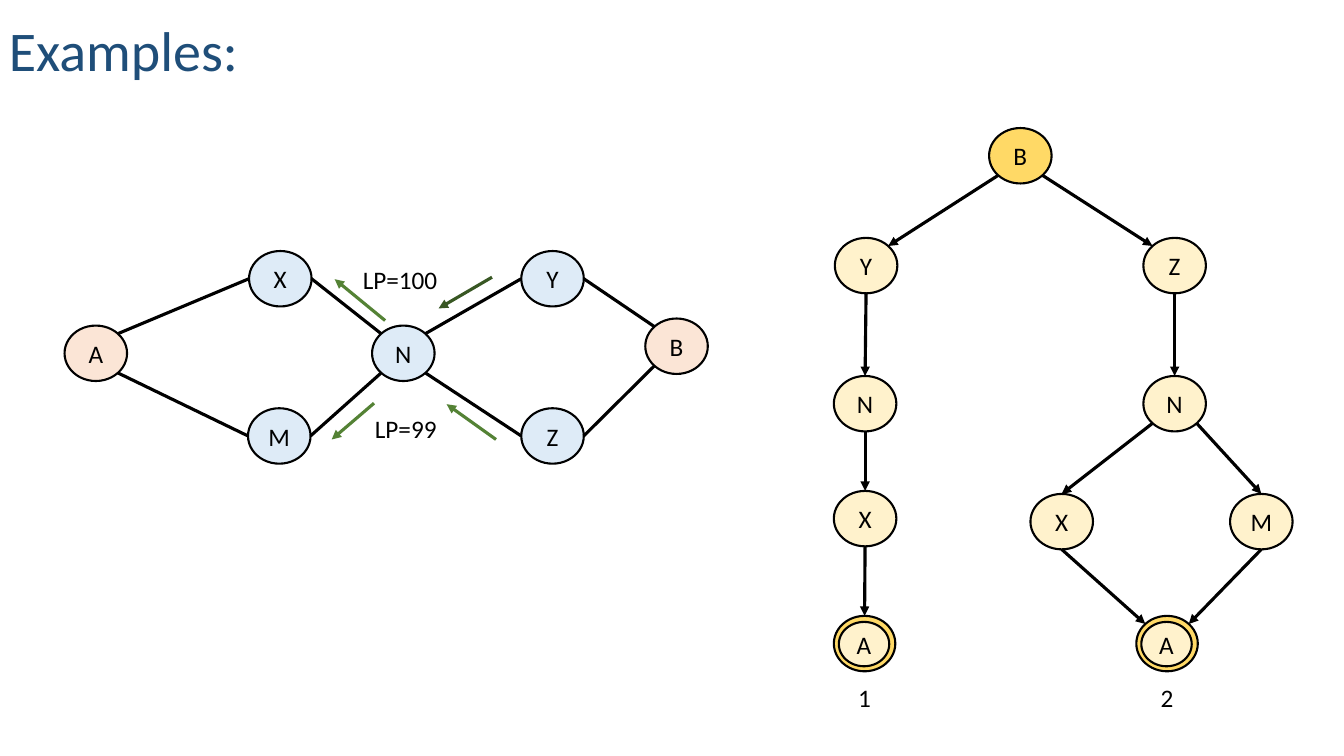
import lxml.etree
import pptx
import pptx.enum.shapes
import pptx.enum.text
import pptx.dml.color
import pptx.oxml.ns
import pptx.util

COLOURS = {
    "title": "1F4E79", "ink": "000000", "endpoint": "FBE5D6", "router": "DEEBF7",
    "gold": "FFD966", "cream": "FFF2CC", "forest": "385723", "green": "548235",
}
PX = 9144
NODE_W, NODE_H = 62, 55
DIAGONAL = 0.354
SITES = {
    "top": (0, 0, -0.5), "top left": (1, -DIAGONAL, -DIAGONAL), "left": (2, -0.5, 0),
    "bottom left": (3, -DIAGONAL, DIAGONAL), "bottom": (4, 0, 0.5),
    "bottom right": (5, DIAGONAL, DIAGONAL), "right": (6, 0.5, 0),
    "top right": (7, DIAGONAL, -DIAGONAL),
}
ALIGN = pptx.enum.text.PP_ALIGN
ANCHOR = pptx.enum.text.MSO_ANCHOR


class GraphSlide:
    """Draws nodes, edges and labels on one slide in a shared style."""

    def __init__(self, deck):
        self.font = "Calibri"
        self.slide = deck.slides.add_slide(deck.slide_layouts[6])

    def colour(self, name):
        return pptx.dml.color.RGBColor.from_string(COLOURS[name])

    def add_words(self, frame, words, size=18, ink="ink", align=ALIGN.CENTER, spacing=1.0):
        paragraph = frame.paragraphs[0]
        paragraph.alignment = align
        paragraph.line_spacing = spacing
        run = paragraph.add_run()
        run.text = words
        run.font.name = self.font
        run.font.size = pptx.util.Pt(size)
        run.font.color.rgb = self.colour(ink)

    def label(self, words, x, y, w, h, anchor=ANCHOR.TOP, **style):
        box = self.slide.shapes.add_textbox(x * PX, y * PX, w * PX, h * PX)
        box.text_frame.word_wrap = True
        box.text_frame.vertical_anchor = anchor
        self.add_words(box.text_frame, words, **style)

    def node(self, words, x, y, fill, w=NODE_W, h=NODE_H):
        oval = self.slide.shapes.add_shape(
            pptx.enum.shapes.MSO_SHAPE.OVAL, x * PX, y * PX, w * PX, h * PX)
        oval.shadow.inherit = False
        oval.fill.solid()
        oval.fill.fore_color.rgb = self.colour(fill)
        oval.line.color.rgb = self.colour("ink")
        oval.line.width = pptx.util.Pt(1.5)
        if words:
            frame = oval.text_frame
            frame.margin_left = frame.margin_right = 0
            frame.margin_top = frame.margin_bottom = 0
            frame.word_wrap = False
            frame.vertical_anchor = ANCHOR.MIDDLE
            self.add_words(frame, words)
        return oval

    def target(self, words, x, y):
        ring = self.node("", x, y, "gold", w=61)
        self.node(words, x + 5, y + 6, "cream", w=50, h=44)
        return ring

    def line(self, start, end, ink="ink", arrow=True):
        link = self.slide.shapes.add_connector(
            pptx.enum.shapes.MSO_CONNECTOR.STRAIGHT, *start, *end)
        link.line.color.rgb = self.colour(ink)
        link.line.width = pptx.util.Pt(2.25)
        qn = pptx.oxml.ns.qn
        properties = link._element.spPr
        if arrow:
            lxml.etree.SubElement(properties.find(qn("a:ln")), qn("a:tailEnd"), type="triangle")
        lxml.etree.SubElement(properties, qn("a:effectLst"))
        return link

    def site(self, node, side):
        _, across, down = SITES[side]
        return (round(node.left + node.width * (0.5 + across)),
                round(node.top + node.height * (0.5 + down)))

    def edge(self, source, source_side, goal, goal_side, arrow=True):
        link = self.line(self.site(source, source_side), self.site(goal, goal_side), arrow=arrow)
        joints = link._element.nvCxnSpPr.cNvCxnSpPr
        for tag, node, side in (("a:stCxn", source, source_side), ("a:endCxn", goal, goal_side)):
            lxml.etree.SubElement(joints, pptx.oxml.ns.qn(tag),
                                  id=str(node.shape_id), idx=str(SITES[side][0]))

    def flow(self, x1, y1, x2, y2, ink="green"):
        self.line((x1 * PX, y1 * PX), (x2 * PX, y2 * PX), ink)


def draw_network(graph):
    places = {
        "A": (64, 323, "endpoint"), "N": (369, 323, "router"),
        "Y": (517, 249, "router"), "Z": (517, 405, "router"),
        "B": (640, 316, "endpoint"), "X": (247, 249, "router"), "M": (246, 405, "router"),
    }
    nodes = {name: graph.node(name, *place) for name, place in places.items()}
    for source, source_side, goal, goal_side in (
            ("A", "top right", "X", "left"), ("A", "bottom right", "M", "left"),
            ("N", "top left", "X", "right"), ("N", "bottom left", "M", "right"),
            ("N", "top right", "Y", "left"), ("N", "bottom right", "Z", "left"),
            ("Y", "right", "B", "top left"), ("Z", "right", "B", "bottom left")):
        graph.edge(nodes[source], source_side, nodes[goal], goal_side, arrow=False)
    for preference, x, y in (("LP=100", 350, 261), ("LP=99", 362, 408)):
        graph.label(preference, x, y, 100, 39, align=ALIGN.LEFT, spacing=0.9)
    graph.flow(488, 275, 435, 306, "forest")
    graph.flow(492, 436, 443, 401)
    graph.flow(371, 400, 329, 436)
    graph.flow(382, 318, 332, 277)


def draw_paths(graph):
    root = graph.node("B", 981, 127, "gold")
    places = {
        "Y": (828, 236), "N1": (827, 373), "X1": (827, 487),
        "Z": (1134, 236), "N2": (1134, 373), "X2": (1022, 490), "M": (1220, 490),
    }
    nodes = {key: graph.node(key[0], *place, "cream") for key, place in places.items()}
    nodes["B"] = root
    for number, x in (("1", 827), ("2", 1127)):
        nodes["A" + number] = graph.target("A", x, 611)
        graph.label(number, x + 14, 672, 33, 40)
    for source, source_side, goal, goal_side in (
            ("B", "bottom left", "Y", "top right"), ("B", "bottom right", "Z", "top left"),
            ("Y", "bottom", "N1", "top"), ("N1", "bottom", "X1", "top"),
            ("X1", "bottom", "A1", "top"), ("Z", "bottom", "N2", "top"),
            ("N2", "bottom left", "X2", "top"), ("N2", "bottom right", "M", "top"),
            ("X2", "bottom", "A2", "top left"), ("M", "bottom", "A2", "top right")):
        graph.edge(nodes[source], source_side, nodes[goal], goal_side)


def main():
    deck = pptx.Presentation()
    deck.slide_width, deck.slide_height = 1333 * PX, 750 * PX
    graph = GraphSlide(deck)
    graph.label("Examples:", -1, -5, 874, 93, anchor=ANCHOR.BOTTOM,
                size=40, ink="title", align=ALIGN.LEFT, spacing=0.9)
    draw_network(graph)
    draw_paths(graph)
    deck.save("out.pptx")


if __name__ == "__main__":
    main()
